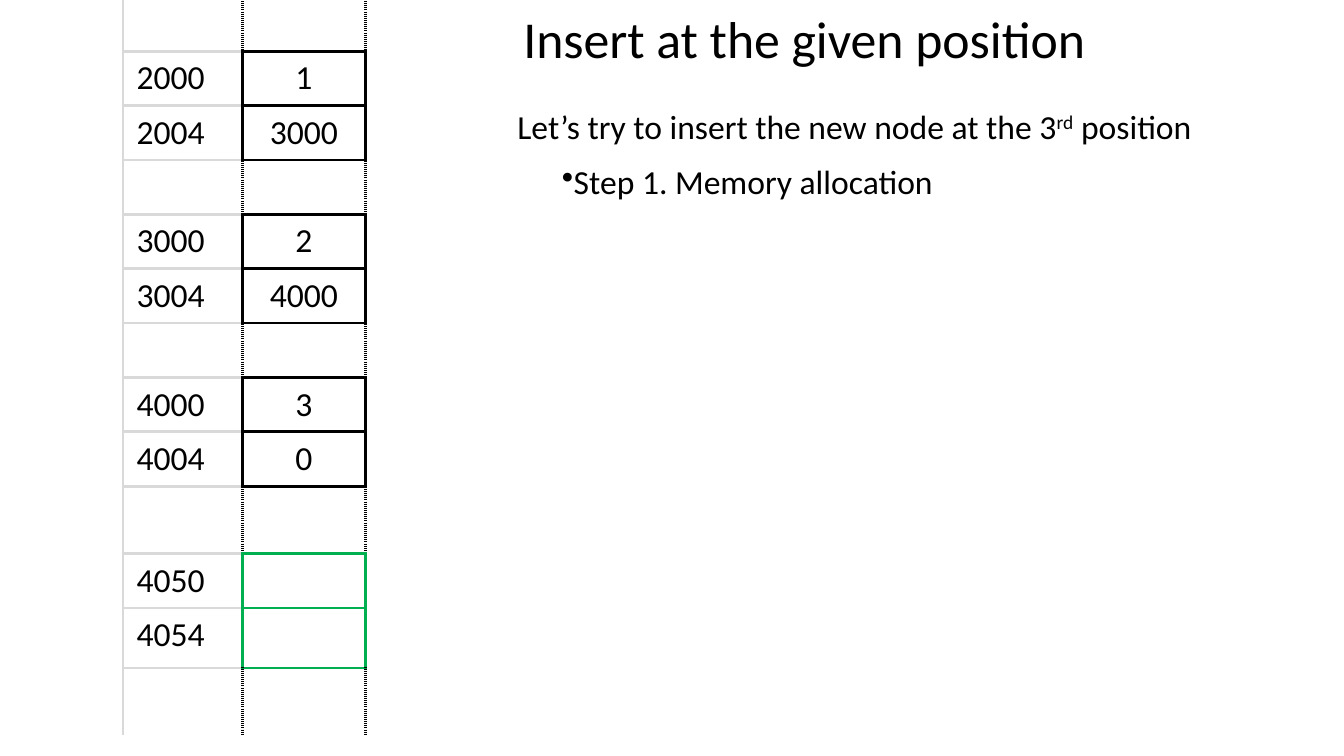
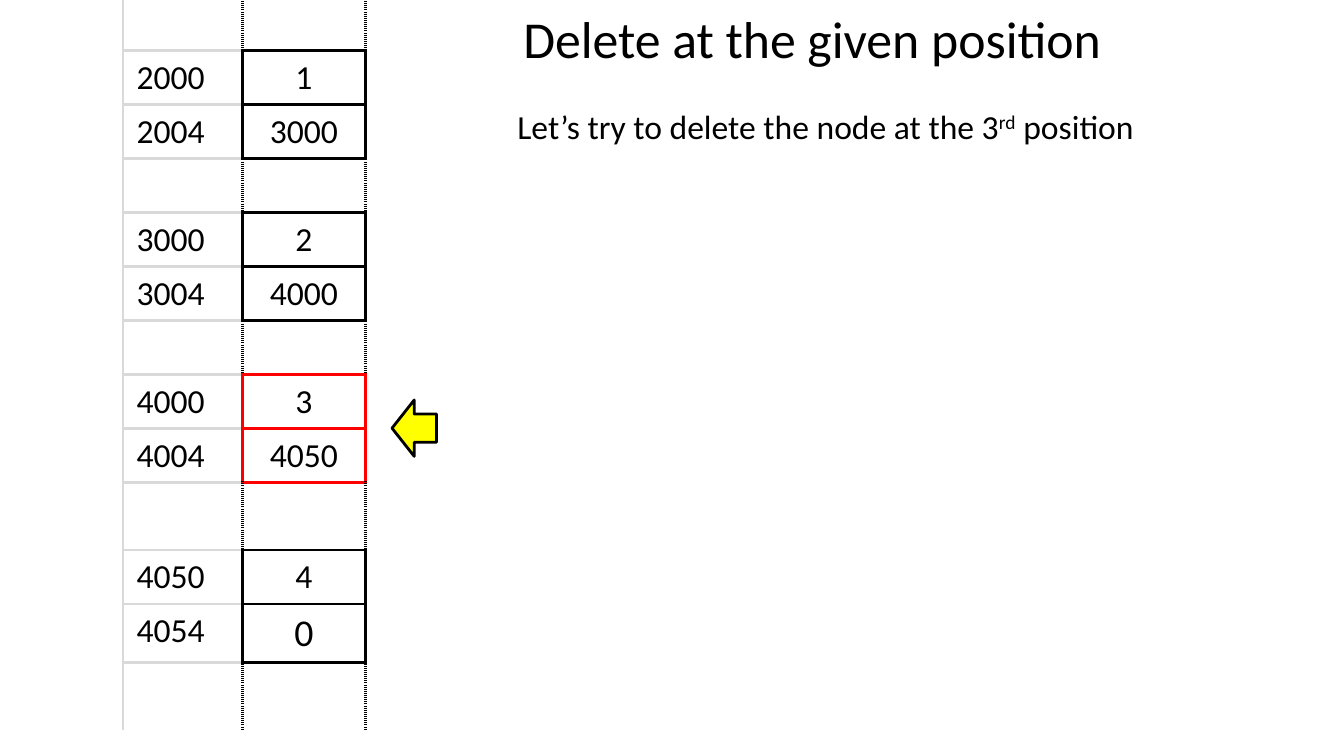
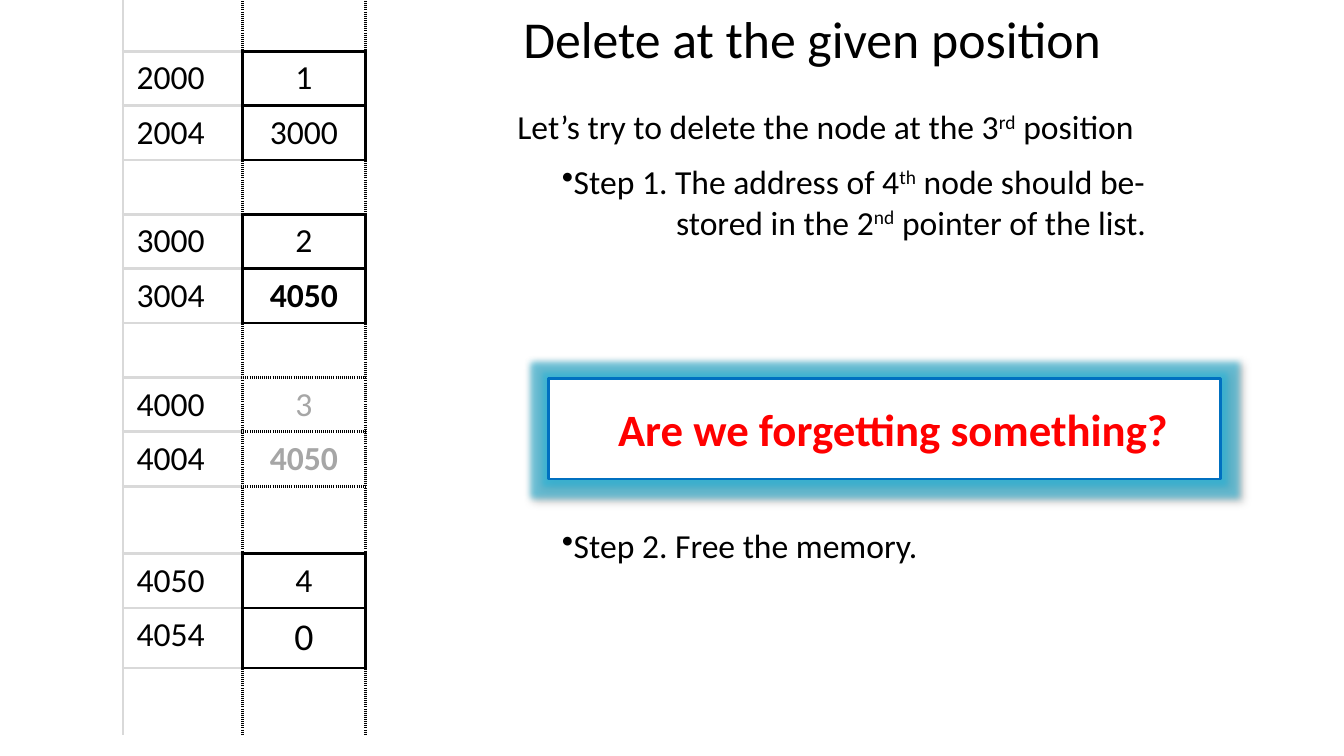
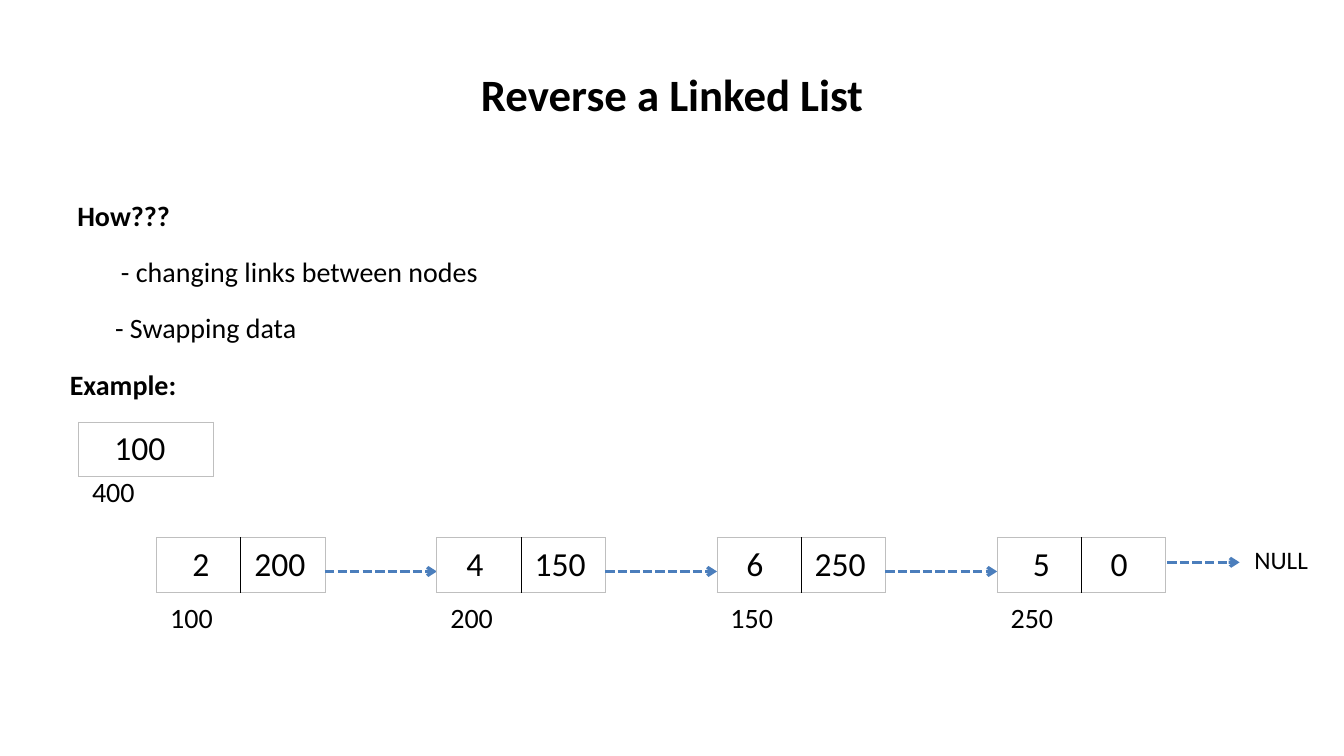
"""Builds four slides on inserting into, deleting from and reversing a linked list."""
import dataclasses

import lxml.etree
import pptx
import pptx.dml.color
import pptx.enum.dml
import pptx.enum.shapes
import pptx.enum.text
import pptx.oxml.ns
import pptx.util

Cm = pptx.util.Cm
Pt = pptx.util.Pt
ALIGN = pptx.enum.text.PP_ALIGN
ANCHOR = pptx.enum.text.MSO_ANCHOR

COLORS = {
    "ink": "000000",
    "paper": "FFFFFF",
    "grid": "D9D9D9",
    "node": "BFBFBF",
    "faded": "A6A6A6",
    "new": "00B050",
    "removed": "FF0000",
    "pointer": "FFFF00",
    "frame": "0070C0",
    "glow": "2AB4D8",
    "link": "4B7EBC",
}
FONT = "Calibri"
INSETS = (0.34, 0.17, 0.34, 0.15)
MEMORY_LEFT, MEMORY_TOP = 3.1, -0.08
TITLE_LEFT = 12.7
STEP_LEFT = 13.82


@dataclasses.dataclass
class Node:
    """A list node shown as two memory rows."""
    address: int
    value: str
    link: str
    edge: tuple = ("ink", "solid")
    color: str = "ink"
    link_bold: bool = False
    link_size: int = 24


def rgb(name):
    """Return the named colour."""
    return pptx.dml.color.RGBColor.from_string(COLORS[name])


def add_xml(parent, tag, **attributes):
    """Append a drawing element to its parent and return it."""
    element = lxml.etree.SubElement(parent, pptx.oxml.ns.qn(tag))
    for key, value in attributes.items():
        element.set(key, str(value))
    return element


def cm_box(box):
    """Convert a box given in centimetres to lengths."""
    return [Cm(length) for length in box]


def write(paragraph, parts, size, color="ink", bold=False, align=ALIGN.LEFT):
    """Write text whose every second part is superscript."""
    for index, part in enumerate(parts):
        run = paragraph.add_run()
        run.text = part
        if index % 2:
            run._r.get_or_add_rPr().set("baseline", "30000")
    paragraph.alignment = align
    font = paragraph.font
    font.name, font.size, font.bold = FONT, Pt(size), bold
    font.color.rgb = rgb(color)


def set_insets(target, insets=INSETS):
    """Set the left, top, right and bottom margins of a frame or cell."""
    (target.margin_left, target.margin_top,
     target.margin_right, target.margin_bottom) = cm_box(insets)


def indent(paragraph, left):
    """Indent a whole paragraph."""
    paragraph._p.get_or_add_pPr().set("marL", str(Cm(left)))


def add_text(slide, box, parts, size=24, bold=False, bullet=False):
    """Add a text box with one paragraph and return its frame."""
    frame = slide.shapes.add_textbox(*cm_box(box)).text_frame
    frame.word_wrap = True
    set_insets(frame)
    paragraph = frame.paragraphs[0]
    write(paragraph, parts, size, bold=bold)
    if bullet:
        properties = paragraph._p.get_or_add_pPr()
        marker = add_xml(properties, "a:buChar", char="•")
        properties.insert(0, marker)
    return frame


def set_title(slide, box, text, size, bold=False, anchor=ANCHOR.TOP):
    """Place and format the title placeholder."""
    title = slide.shapes.title
    title.left, title.top, title.width, title.height = cm_box(box)
    frame = title.text_frame
    frame.auto_size = pptx.enum.text.MSO_AUTO_SIZE.NONE
    frame.vertical_anchor = anchor
    set_insets(frame)
    write(frame.paragraphs[0], [text], size, bold=bold, align=ALIGN.CENTER)


def add_slide(presentation):
    """Add a slide with the title-only layout."""
    return presentation.slides.add_slide(presentation.slide_layouts[5])


def add_plain_table(slide, left, top, widths, heights):
    """Add a table without fills or banding."""
    frame = slide.shapes.add_table(
        len(heights), len(widths),
        *cm_box((left, top, sum(widths), sum(heights))))
    table = frame.table
    table.first_row = table.horz_banding = False
    for column, width in zip(table.columns, widths):
        column.width = Cm(width)
    for row, height in zip(table.rows, heights):
        row.height = Cm(height)
    for cell in table.iter_cells():
        cell.fill.background()
        set_insets(cell)
    return table


def set_borders(cell, left, right, top, bottom, width=2.25):
    """Draw the four cell borders, each a colour and dash pair or None."""
    properties = cell._tc.get_or_add_tcPr()
    sides = {"a:lnL": left, "a:lnR": right, "a:lnT": top, "a:lnB": bottom}
    for position, (tag, edge) in enumerate(sides.items()):
        line = add_xml(properties, tag, w=int(Pt(width)))
        properties.insert(position, line)
        if edge is None:
            add_xml(line, "a:noFill")
            continue
        color, dash = edge
        add_xml(add_xml(line, "a:solidFill"), "a:srgbClr", val=COLORS[color])
        add_xml(line, "a:prstDash", val=dash)


def add_memory(slide, left, top, nodes, row=1.37, last_row=1.51):
    """Add the memory column: nodes of two rows with a gap around each."""
    grid, dotted = ("grid", "solid"), ("ink", "sysDot")
    rows, edges, heights = [None], [None], [row]
    for node in nodes:
        rows += [(node.address, node.value, node, 24, False),
                 (node.address + 4, node.link, node, node.link_size, node.link_bold),
                 None]
        edges += [node.edge, node.edge, None]
        heights += [row] * 3
    heights[-4], heights[-2], heights[-1] = 1.7, last_row, 1.7
    table = add_plain_table(slide, left, top, (3.01, 3.1), heights)
    final = len(rows) - 1
    for index, (content, edge) in enumerate(zip(rows, edges)):
        address_cell, value_cell = table.cell(index, 0), table.cell(index, 1)
        side = edge or dotted
        above = edge or (edges[index - 1] if index else None)
        below = edge or (edges[index + 1] if index < final else None)
        set_borders(address_cell, grid, side,
                    grid if index else None, grid if index < final else None)
        set_borders(value_cell, side, side, above, below)
        if content:
            address, value, node, size, bold = content
            write(address_cell.text_frame.paragraphs[0], [str(address)], 24)
            if value:
                write(value_cell.text_frame.paragraphs[0], [value], size,
                      node.color, bold, ALIGN.CENTER)


def add_position_slide(presentation, action, width, task, task_width, nodes, **rows):
    """Add a slide with a memory column, a title and the task."""
    slide = add_slide(presentation)
    add_memory(slide, MEMORY_LEFT, MEMORY_TOP, nodes, **rows)
    set_title(slide, (TITLE_LEFT, 0, width, 1.93), f"{action} at the given position", 37)
    add_text(slide, (TITLE_LEFT, 2.51, task_width, 1.37),
             [f"Let’s try to {task} at the 3", "rd", " position"])
    return slide


def add_delete_slide(presentation, nodes, **rows):
    """Add a slide on deleting the third node."""
    return add_position_slide(presentation, "Delete", 15.54,
                              "delete the node", 16.43, nodes, **rows)


def add_pointer(slide, box):
    """Add the block arrow that points at a node."""
    shape = slide.shapes.add_shape(
        pptx.enum.shapes.MSO_SHAPE.LEFT_ARROW, *cm_box(box))
    shape.shadow.inherit = False
    shape.fill.solid()
    shape.fill.fore_color.rgb = rgb("pointer")
    shape.line.color.rgb = rgb("ink")
    shape.line.width = Pt(2)


def add_question(slide, box, text):
    """Add a glowing box with a question."""
    shape = slide.shapes.add_shape(
        pptx.enum.shapes.MSO_SHAPE.RECTANGLE, *cm_box(box))
    shape.fill.solid()
    shape.fill.fore_color.rgb = rgb("paper")
    shape.line.color.rgb = rgb("frame")
    shape.line.width = Pt(2)
    shape.shadow.inherit = False
    effects = shape._element.spPr.find(pptx.oxml.ns.qn("a:effectLst"))
    glow = add_xml(effects, "a:glow", rad=int(Pt(8)))
    shadow = add_xml(effects, "a:outerShdw", blurRad=int(Pt(4)), dist=int(Pt(3)),
                     dir=45 * 60000, algn="tl", rotWithShape=0)
    for effect, color, alpha in ((glow, "glow", 60000), (shadow, "ink", 40000)):
        add_xml(add_xml(effect, "a:srgbClr", val=COLORS[color]), "a:alpha", val=alpha)
    frame = shape.text_frame
    frame.word_wrap = True
    frame.vertical_anchor = ANCHOR.MIDDLE
    set_insets(frame, (0.79, 0.17, 0.34, 0.17))
    write(frame.paragraphs[0], [text], 32, "removed", True, ALIGN.CENTER)


def add_cells(slide, left, top, widths, texts, indents):
    """Add a one-row table with thin edges and an inner divider."""
    table = add_plain_table(slide, left, top, widths, [1.37])
    outer, divider = ("node", "solid"), ("ink", "solid")
    last = len(texts) - 1
    for index, (text, margin) in enumerate(zip(texts, indents)):
        cell = table.cell(0, index)
        cell.margin_left = Cm(margin)
        set_borders(cell, divider if index else outer,
                    divider if index < last else outer, outer, outer, 0.75)
        write(cell.text_frame.paragraphs[0], [text], 24)


def add_link(slide, start, end, y):
    """Add a dashed horizontal arrow."""
    connector = slide.shapes.add_connector(
        pptx.enum.shapes.MSO_CONNECTOR.STRAIGHT, *cm_box((start, y, end, y)))
    line = connector.line
    line.color.rgb = rgb("link")
    line.width = Pt(2.25)
    line.dash_style = pptx.enum.dml.MSO_LINE.SQUARE_DOT
    add_xml(line._get_or_add_ln(), "a:tailEnd", type="arrow")
    add_xml(connector._element.spPr, "a:effectLst")


def add_method_list(slide, box):
    """Add the list of ways to reverse a list."""
    lines = (("How???", 0, True), ("- changing links between nodes", 1.1, False),
             ("- Swapping data", 0.95, False))
    frame = slide.shapes.add_textbox(*cm_box(box)).text_frame
    frame.word_wrap = True
    for index, (text, left, bold) in enumerate(lines):
        paragraph = frame.add_paragraph() if index else frame.paragraphs[0]
        write(paragraph, [text], 20, bold=bold)
        paragraph.line_spacing = 1.5
        paragraph.space_before = Pt(4)
        indent(paragraph, left)


def add_chain(slide, left, top):
    """Add the linked nodes with their addresses and the closing NULL."""
    pitch, cell_width = 7.06, 2.12
    wide, narrow, plain = 0.9, 0.74, INSETS[0]
    nodes = (("2", wide, "200", plain, "100"), ("4", narrow, "150", plain, "200"),
             ("6", narrow, "250", plain, "150"), ("5", wide, "0", narrow, "250"))
    for index, (value, value_indent, link, link_indent, address) in enumerate(nodes):
        node_left = left + index * pitch
        node_right = node_left + 2 * cell_width
        add_cells(slide, node_left, top, (cell_width, cell_width),
                  (value, link), (value_indent, link_indent))
        add_text(slide, (node_left, top + 1.41, 2.82, 1.19), [address], 20)
        if index < len(nodes) - 1:
            add_link(slide, node_right, node_left + pitch, top + 0.85)
        else:
            add_link(slide, node_right + 0.05, node_right + 1.87, top + 0.62)
            add_text(slide, (node_right + 1.9, top, 2.55, 1.12), ["NULL"], 18)


def add_insert_slide(presentation):
    """Add the slide on inserting a node."""
    nodes = [Node(2000, "1", "3000"), Node(3000, "2", "4000"), Node(4000, "3", "0"),
             Node(4050, "", "", ("new", "solid"))]
    slide = add_position_slide(presentation, "Insert", 15.14,
                               "insert the new node", 17.88, nodes)
    add_text(slide, (STEP_LEFT, 3.89, 10.11, 1.37),
             ["Step 1. Memory allocation"], bullet=True)


def add_delete_start_slide(presentation):
    """Add the slide that marks the node to delete."""
    nodes = [Node(2000, "1", "3000"), Node(3000, "2", "4000"),
             Node(4000, "3", "4050", ("removed", "solid")),
             Node(4050, "4", "0", link_size=27)]
    slide = add_delete_slide(presentation, nodes, row=1.36, last_row=1.48)
    add_pointer(slide, (9.88, 10.08, 1.12, 1.42))


def add_delete_steps_slide(presentation):
    """Add the slide with the steps of deleting a node."""
    nodes = [Node(2000, "1", "3000"), Node(3000, "2", "4050", link_bold=True),
             Node(4000, "3", "4050", ("ink", "sysDot"), "faded", True),
             Node(4050, "4", "0", link_size=27)]
    slide = add_delete_slide(presentation, nodes)
    add_question(slide, (STEP_LEFT, 9.53, 16.93, 2.54), "Are we forgetting something?")
    add_text(slide, (STEP_LEFT, 13.06, 9.73, 2.39),
             ["Step 2. Free the memory."], bullet=True)
    frame = add_text(slide, (STEP_LEFT, 3.89, 15.77, 4.45),
                     ["Step 1. The address of 4", "th", " node should be-"], bullet=True)
    paragraph = frame.add_paragraph()
    write(paragraph, ["stored in the 2", "nd", " pointer of the list."], 24)
    indent(paragraph, 2.88)


def add_reverse_slide(presentation):
    """Add the slide on reversing a list."""
    slide = add_slide(presentation)
    set_title(slide, (1.7, 0.76, 30.48, 3.18), "Reverse a Linked List", 32,
              True, ANCHOR.MIDDLE)
    add_method_list(slide, (1.7, 4.45, 30.48, 4.6))
    add_text(slide, (1.42, 9.09, 8.18, 1.19), ["Example:"], 20, True)
    add_cells(slide, 1.98, 10.64, [3.39], ["100"], [0.9])
    add_text(slide, (1.98, 11.79, 2.82, 1.19), ["400"], 20)
    add_chain(slide, 3.95, 13.55)


def main():
    """Build and save the presentation."""
    presentation = pptx.Presentation()
    presentation.slide_width, presentation.slide_height = Cm(33.87), Cm(19.05)
    add_insert_slide(presentation)
    add_delete_start_slide(presentation)
    add_delete_steps_slide(presentation)
    add_reverse_slide(presentation)
    presentation.save("out.pptx")


if __name__ == "__main__":
    main()
